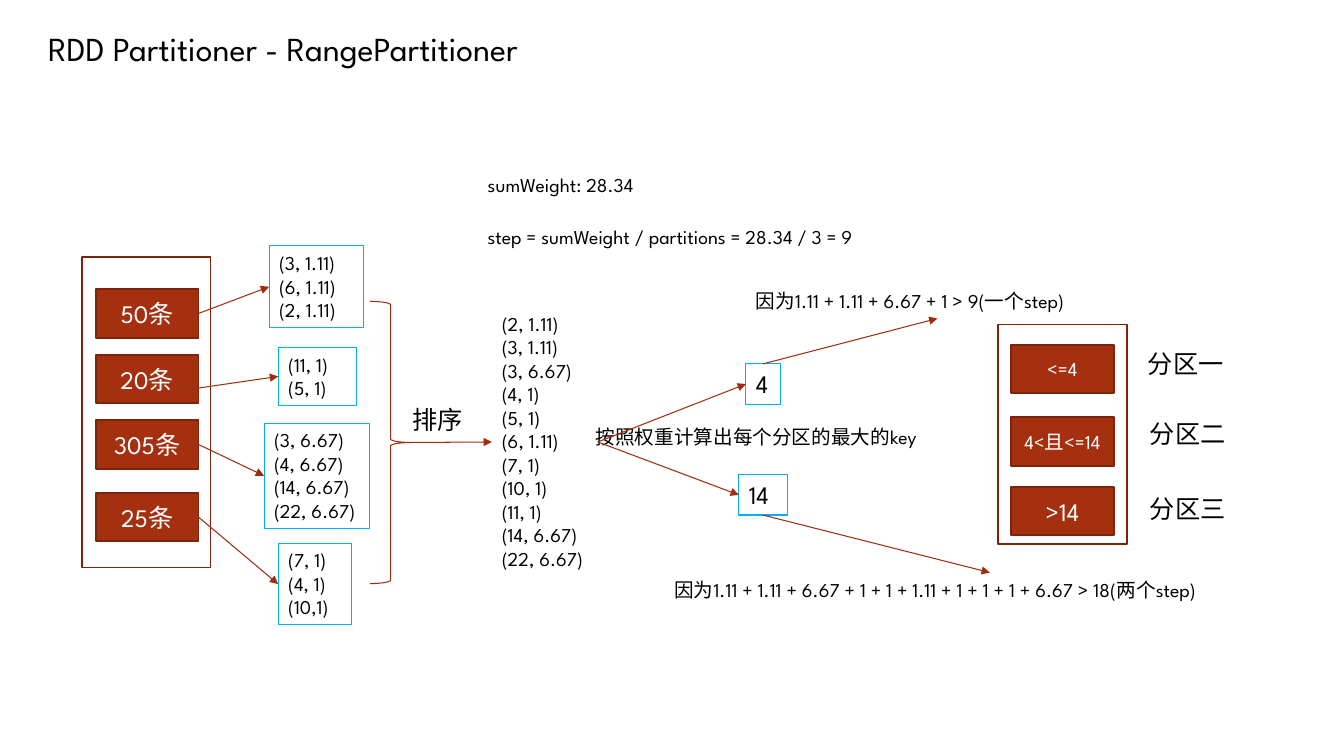
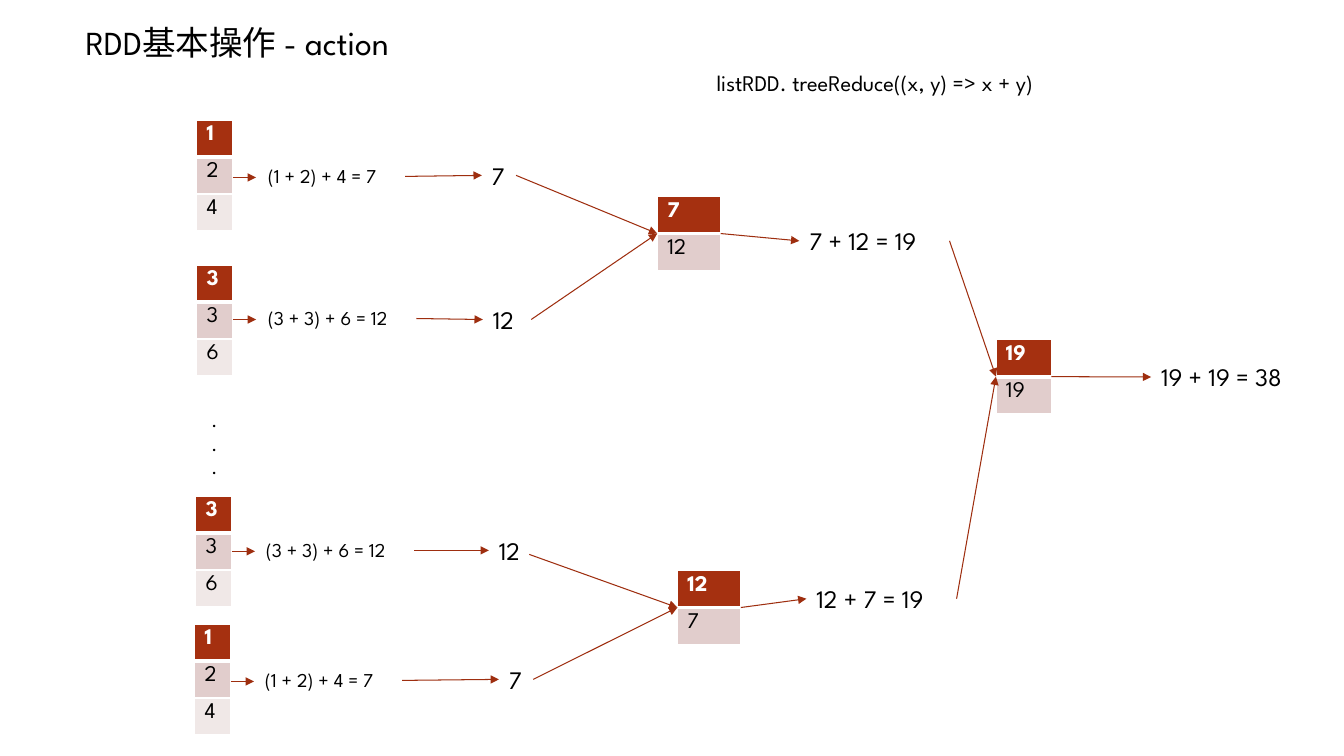
from pptx import Presentation
from pptx.dml.color import RGBColor
from pptx.enum.shapes import MSO_CONNECTOR, MSO_SHAPE
from pptx.enum.text import MSO_ANCHOR, MSO_AUTO_SIZE, PP_ALIGN
from pptx.oxml.ns import qn
from pptx.util import Inches, Pt
from lxml.etree import SubElement

# Grid: square units, 133.33 columns by 75 rows
COLS, ROWS = 133.33, 75
UNIT = Inches(0.1)

# Shared style
FONT = "League Spartan"
BLACK = RGBColor(0x00, 0x00, 0x00)
WHITE = RGBColor(0xFF, 0xFF, 0xFF)
RUST = RGBColor(0xA5, 0x30, 0x10)
RUST_EDGE = RGBColor(0x7A, 0x24, 0x0C)
RUST_LINE = RGBColor(0x9E, 0x2E, 0x0F)
CYAN = RGBColor(0x00, 0xB0, 0xF0)
ROW_FILLS = (RUST, RGBColor(0xE1, 0xCD, 0xCC), RGBColor(0xF0, 0xE8, 0xE7))
TITLE, BODY, CELL, LABEL = 24, 14, 16, 18
ROW_H = 3.67


def grid(*lengths):
    return [round(n * UNIT) for n in lengths]


def port(sp, across, down):
    """Grid point at a share of an element's width and height."""
    return ((sp.left + across * sp.width) / UNIT,
            (sp.top + down * sp.height) / UNIT)


def left(sp):
    return port(sp, 0, 0.5)


def right(sp):
    return port(sp, 1, 0.5)


class Deck:
    def __init__(self):
        self.prs = Presentation()
        self.prs.slide_width, self.prs.slide_height = grid(COLS, ROWS)
        self.s = None

    def slide(self, title, at):
        self.s = self.prs.slides.add_slide(self.prs.slide_layouts[6])
        self.text(title, at, TITLE)

    def style(self, tf, size, color, bold=False):
        for p in tf.paragraphs:
            for r in p.runs:
                r.font.name = FONT
                r.font.size = Pt(size)
                r.font.bold = bold
                r.font.color.rgb = color

    def text(self, text, at, size=BODY, line=None):
        sp = self.s.shapes.add_textbox(*grid(*at))
        tf = sp.text_frame
        tf.text = text
        tf.word_wrap = False
        tf.auto_size = MSO_AUTO_SIZE.SHAPE_TO_FIT_TEXT
        self.style(tf, size, BLACK)
        if line is not None:
            sp.line.color.rgb = line
            sp.line.width = Pt(0.75)
        return sp

    def shape(self, kind, at, line=RUST_EDGE, width=1.25):
        sp = self.s.shapes.add_shape(kind, *grid(*at))
        sp.shadow.inherit = False
        sp.fill.background()
        sp.line.color.rgb = line
        sp.line.width = Pt(width)
        return sp

    def block(self, text, x, y, size=LABEL):
        sp = self.shape(MSO_SHAPE.RECTANGLE, (x, y, 10.2, 4.8))
        sp.fill.solid()
        sp.fill.fore_color.rgb = RUST
        tf = sp.text_frame
        tf.text = text
        tf.word_wrap = True
        tf.vertical_anchor = MSO_ANCHOR.MIDDLE
        tf.paragraphs[0].alignment = PP_ALIGN.CENTER
        self.style(tf, size, WHITE)
        return sp

    def arrow(self, start, end):
        c = self.s.shapes.add_connector(MSO_CONNECTOR.STRAIGHT,
                                        *grid(*start, *end))
        c.line.color.rgb = RUST_LINE
        c.line.width = Pt(0.75)
        SubElement(c.line._get_or_add_ln(), qn("a:tailEnd"), type="triangle")
        SubElement(c._element.spPr, qn("a:effectLst"))

    def border(self, cell, **widths):
        tcPr = cell._tc.get_or_add_tcPr()
        for side in "LRTB":
            ln = SubElement(tcPr, qn("a:ln" + side),
                            w=str(Pt(widths.get(side, 1))))
            fill = SubElement(ln, qn("a:solidFill"))
            SubElement(fill, qn("a:srgbClr"), val=str(WHITE))

    def stack(self, values, x, y, w):
        """One-column table with a header row."""
        frame = self.s.shapes.add_table(
            len(values), 1, *grid(x, y, w, ROW_H * len(values)))
        for i, value in enumerate(values):
            cell = frame.table.cell(i, 0)
            self.border(cell, **({"B": 3}, {"T": 3}, {})[i])
            cell.fill.solid()
            cell.fill.fore_color.rgb = ROW_FILLS[i]
            cell.text_frame.text = str(value)
            self.style(cell.text_frame, CELL, BLACK if i else WHITE, not i)
        return frame


def range_partitioner(d):
    d.slide("RDD Partitioner - RangePartitioner", (3.8, 2.3, 56.6, 5))

    # Result partitions
    d.shape(MSO_SHAPE.RECTANGLE, (99, 32.2, 12.8, 21.8))
    for rule, y, size, name, nx, ny in (
            ("<=4", 34.2, BODY, "分区一", 112.9, 34.1),
            ("4<且<=14", 41.4, BODY, "分区二", 113.1, 41),
            (">14", 48.3, LABEL, "分区三", 113.1, 48.4)):
        d.block(rule, 100.3, y, size)
        d.text(name, (nx, ny, 9.6, 4), LABEL)

    # Source partitions and their weighted samples
    d.shape(MSO_SHAPE.RECTANGLE, (8.1, 25.5, 12.8, 30.8))
    for count, y, sample, at, start in (
            ("50条", 28.7, "(3, 1.11)\n(6, 1.11)\n(2, 1.11)",
             (26.7, 24.4, 9.4, 8.1), None),
            ("20条", 35.2, "(11, 1)\n(5, 1)",
             (27.6, 34.5, 7.8, 5.7), (18.3, 38.7)),
            ("305条", 41.7, "(3, 6.67)\n(4, 6.67)\n(14, 6.67)\n(22, 6.67)",
             (26.2, 42, 10.5, 10.4), None),
            ("25条", 48.9, "(7, 1)\n(4, 1)\n(10,1)",
             (27.6, 53.9, 7.3, 8.1), None)):
        block = d.block(count, 9.5, y)
        box = d.text(sample, at, line=CYAN)
        d.arrow(start or right(block), left(box))

    # Sorting
    brace = d.shape(MSO_SHAPE.RIGHT_BRACE, (36.7, 29.9, 4.1, 28),
                    RUST_LINE, 0.75)
    d.text("排序", (39.9, 39.6, 7.1, 4), LABEL)
    ordered = d.text("(2, 1.11)\n(3, 1.11)\n(3, 6.67)\n(4, 1)\n(5, 1)\n(6, 1.11)\n"
                     "(7, 1)\n(10, 1)\n(11, 1)\n(14, 6.67)\n(22, 6.67)",
                     (48.8, 30.4, 10.5, 26.9))
    d.arrow(right(brace), left(ordered))

    # Step size and partition bounds
    d.text("sumWeight: 28.34", (47.4, 16.7, 18.5, 3.4))
    d.text("step = sumWeight / partitions = 28.34 / 3 = 9",
           (47.4, 21.8, 43.2, 3.4))
    d.text("按照权重计算出每个分区的最大的key", (58.1, 41.7, 34.8, 3.4))
    for key, at, edge, end, reason, reason_at in (
            ("4", (74, 36.1, 3.4, 4), 0, (93, 31.6),
             "因为1.11 + 1.11 + 6.67 + 1 > 9(一个step)",
             (74, 28.2, 38, 3.4)),
            ("14", (73.3, 47.1, 4.8, 4), 1, (98.2, 56.8),
             "因为1.11 + 1.11 + 6.67 + 1 + 1 + 1.11 + 1 + 1 + 1 + 6.67"
             " > 18(两个step)", (65.9, 56.8, 64.8, 3.4))):
        bound = d.text(key, at, LABEL, CYAN)
        d.text(reason, reason_at)
        d.arrow(right(ordered), left(bound))
        d.arrow(port(bound, 0.5, edge), end)


def tree_reduce(d):
    d.slide("RDD基本操作 - action", (7.5, 1.7, 36.1, 5))
    d.text("listRDD. treeReduce((x, y) => x + y)", (70.1, 6.4, 39.1, 3.7), CELL)
    d.text(".\n.\n.", (20, 40, 2.6, 8.1))

    # Last level
    final = d.stack((19, 19), 98.8, 33.7, 5.5)
    total = d.text("19 + 19 = 38", (114.2, 35.4, 16.3, 4), LABEL)
    d.arrow(right(final), left(total))

    # Middle level
    pairs = []
    for values, x, y, formula, fx, fy in (
            ((7, 12), 65.2, 19.5, "7 + 12 = 19", 79.3, 21.9),
            ((12, 7), 67.2, 56.6, "12 + 7 = 19", 80, 57.4)):
        pair = d.stack(values, x, y, 6.3)
        partial = d.text(formula, (fx, fy, 14.9, 4), LABEL)
        d.arrow(right(pair), left(partial))
        d.arrow(right(partial), left(final))
        pairs.append(pair)

    # First level: partition, formula, result, pair it joins
    low, high = (1, 2, 4), (3, 3, 6)
    for values, x, y, fx, fy, rx, ry, pair, start in (
            (low, 19.5, 11.9, 25.6, 15.8, 47.8, 15.4, pairs[0], None),
            (high, 19.5, 26.3, 25.6, 29.9, 47.9, 29.7, pairs[0], None),
            (high, 19.4, 49.2, 25.4, 52.9, 48.5, 52.6, pairs[1], (52.5, 55)),
            (low, 19.3, 61.9, 25.3, 65.8, 49.5, 65.4, pairs[1], None)):
        a, b, c = values
        result = sum(values)
        fw, rw = (15.7, 4.8) if result > 9 else (14.6, 3.4)
        part = d.stack(values, x, y, 3.6)
        formula = d.text(f"({a} + {b}) + {c} = {result}", (fx, fy, fw, 3.4))
        reduced = d.text(str(result), (rx, ry, rw, 4), LABEL)
        edge, mid = right(part)[0], left(formula)[1] + 0.1
        d.arrow((edge, mid), (edge + 2.3, mid))
        d.arrow(right(formula), left(reduced))
        d.arrow(start or right(reduced), left(pair))


def main():
    d = Deck()
    range_partitioner(d)
    tree_reduce(d)
    d.prs.save("out.pptx")


if __name__ == "__main__":
    main()
